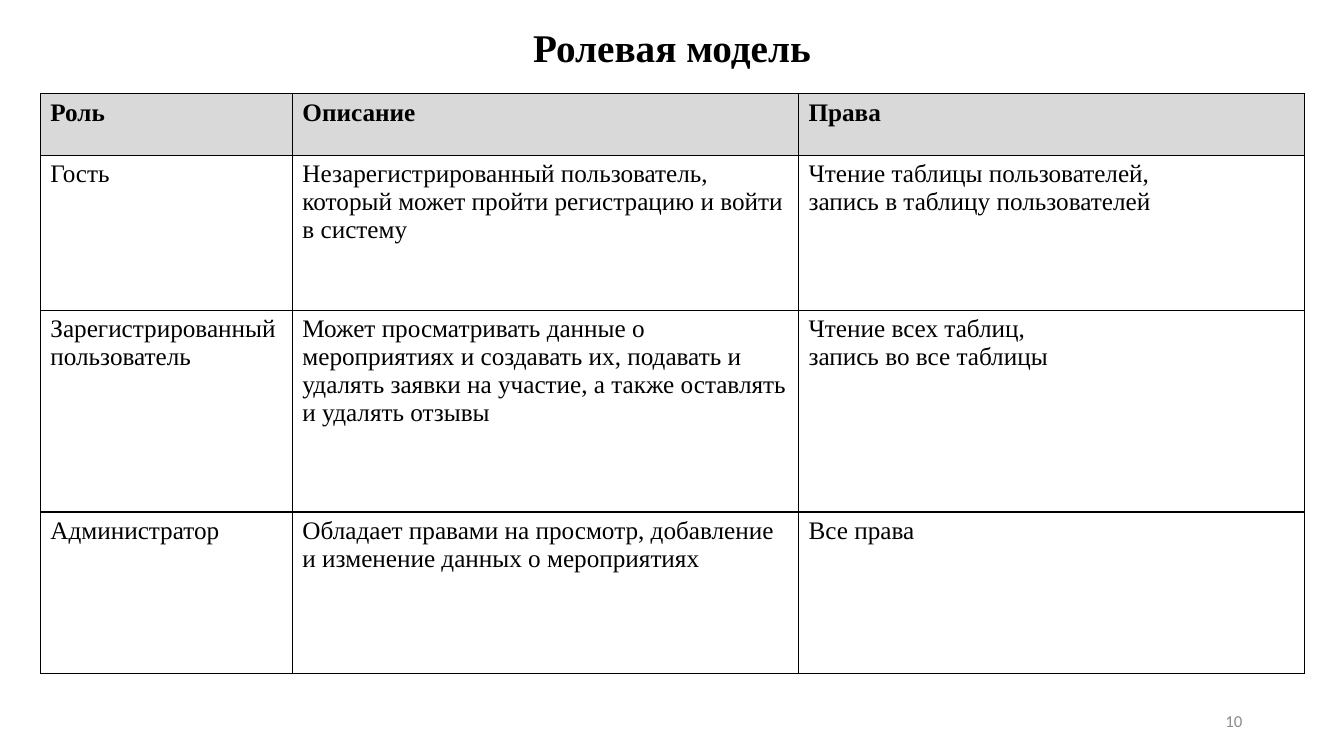
from lxml.etree import SubElement
from pptx import Presentation
from pptx.dml.color import RGBColor
from pptx.enum.text import MSO_ANCHOR as Anchor, PP_ALIGN as Align
from pptx.oxml.ns import qn
from pptx.util import Pt

# Content
TITLE = "Ролевая модель"
PAGE = "10"
ROLES = [
    ("Роль", "Описание", "Права"),
    ("Гость",
     "Незарегистрированный пользователь, который может пройти регистрацию и войти в систему",
     "Чтение таблицы пользователей, \nзапись в таблицу пользователей"),
    ("Зарегистрированный пользователь",
     "Может просматривать данные о мероприятиях и создавать их, подавать и удалять заявки "
     "на участие, а также оставлять и удалять отзывы",
     "Чтение всех таблиц, \nзапись во все таблицы"),
    ("Администратор",
     "Обладает правами на просмотр, добавление и изменение данных о мероприятиях",
     "Все права"),
]

# Layout in px, 100 px to the inch
SCALE = 9144
SLIDE = (1333, 750)
TITLE_BOX = (0, 18, 1333, 57)
PAGE_BOX = (942, 695, 300, 40)
TABLE_AT = (40, 93)
COLUMNS = (250, 502, 502)
ROWS = (61, 154, 200, 160)

# Formats
SERIF = "Times New Roman"
BLACK, GRAY, HEAD_FILL, BODY_FILL = "000000", "8C8C8C", "D9D9D9", "FFFFFF"
TITLE_FONT = {"name": SERIF, "size": Pt(28), "bold": True}
HEAD_FONT = {"name": SERIF, "size": Pt(18), "bold": True}
BODY_FONT = {**HEAD_FONT, "bold": False}
PAGE_FONT = {"name": "Calibri", "size": Pt(12), "bold": False}


def px(*lengths):
    return [length * SCALE for length in lengths]


def color(code):
    return RGBColor.from_string(code)


def write(frame, text, font, ink=BLACK, align=Align.LEFT):
    paragraph = frame.paragraphs[0]
    paragraph.alignment = align
    for number, line in enumerate(text.split("\n")):
        if number:
            paragraph.add_line_break()
        run = paragraph.add_run()
        run.text = line
        for key, value in font.items():
            setattr(run.font, key, value)
        run.font.color.rgb = color(ink)


def add_label(box, text, font, ink, align, anchor):
    frame = slide.shapes.add_textbox(*px(*box)).text_frame
    frame.word_wrap = True
    frame.vertical_anchor = anchor
    write(frame, text, font, ink, align)


def add_borders(cell):
    properties = cell._tc.get_or_add_tcPr()
    for side in ("lnL", "lnR", "lnT", "lnB"):
        line = SubElement(properties, qn(f"a:{side}"), w=str(Pt(1)))
        fill = SubElement(line, qn("a:solidFill"))
        SubElement(fill, qn("a:srgbClr"), val=BLACK)


deck = Presentation()
deck.slide_width, deck.slide_height = px(*SLIDE)
slide = deck.slides.add_slide(deck.slide_layouts[6])

# Title and page number
add_label(TITLE_BOX, TITLE, TITLE_FONT, BLACK, Align.CENTER, Anchor.TOP)
add_label(PAGE_BOX, PAGE, PAGE_FONT, GRAY, Align.RIGHT, Anchor.MIDDLE)

# Table of roles
roles = slide.shapes.add_table(len(ROWS), len(COLUMNS),
                               *px(*TABLE_AT, sum(COLUMNS), sum(ROWS))).table
for column, width in zip(roles.columns, px(*COLUMNS)):
    column.width = width
for row, height in zip(roles.rows, px(*ROWS)):
    row.height = height
for r, texts in enumerate(ROLES):
    font, back = (BODY_FONT, BODY_FILL) if r else (HEAD_FONT, HEAD_FILL)
    for c, text in enumerate(texts):
        cell = roles.cell(r, c)
        add_borders(cell)
        cell.fill.solid()
        cell.fill.fore_color.rgb = color(back)
        write(cell.text_frame, text, font)

deck.save("out.pptx")
